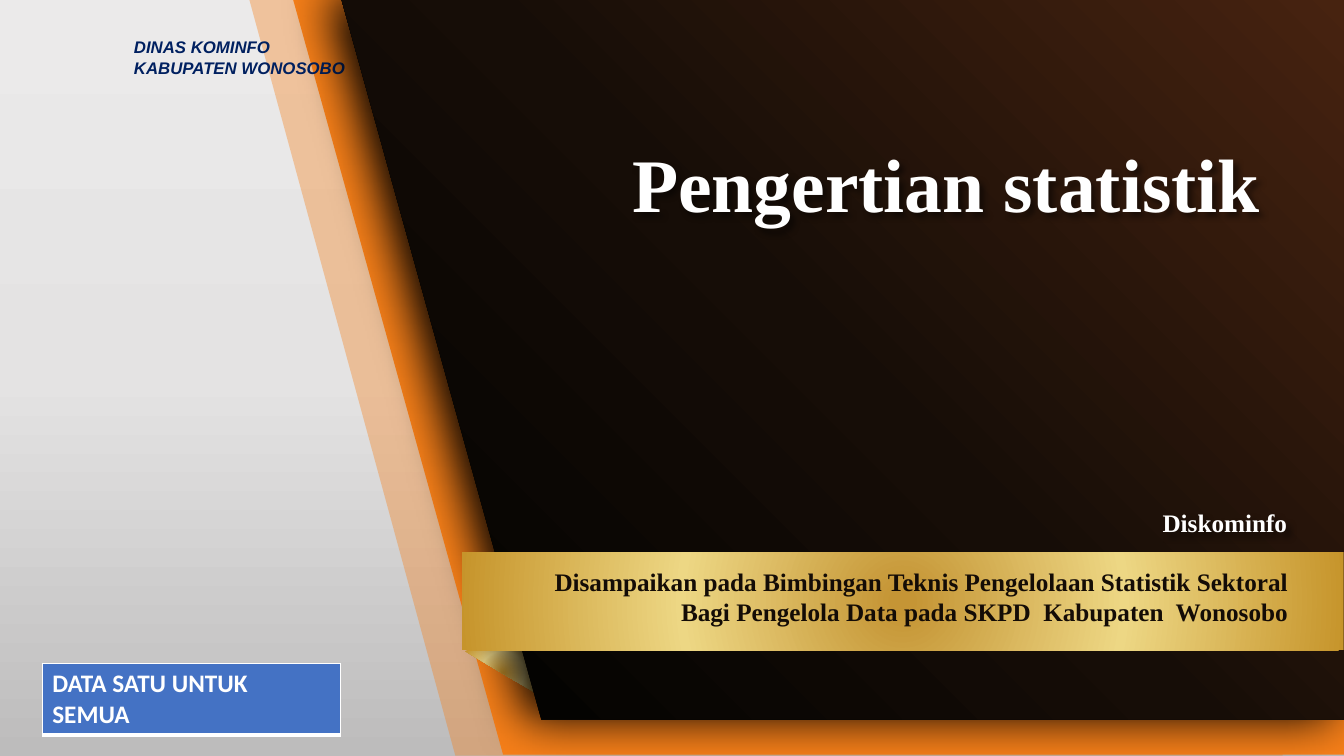
from dataclasses import dataclass

from lxml.etree import SubElement
from pptx import Presentation
from pptx.dml.color import RGBColor
from pptx.enum.shapes import MSO_SHAPE
from pptx.enum.text import MSO_ANCHOR, MSO_AUTO_SIZE, PP_ALIGN
from pptx.oxml.ns import qn
from pptx.util import Pt


@dataclass(frozen=True)
class Theme:
    orange: str = "F67F19"
    navy: str = "002060"
    white: str = "FFFFFF"
    ink: str = "140C06"
    blue: str = "4472C4"
    black: str = "000000"
    backdrop: tuple = ((0, "EBEAEA"), (50, "E4E3E3"), (100, "BDBCBC"))
    dark: tuple = ((2, "000100"), (50, "160D07"), (100, "472310"))
    fold: tuple = ((2, "C9942C"), (50, "EDD688"), (100, "C6942B"))
    gold: tuple = ((2, "C59535"), (50, "EDD784"), (100, "C6942B"))
    serif: str = "Times New Roman"
    sans: str = "Arial"
    label: str = "Calibri"
    title_size: int = 54
    body_size: int = 18
    small_size: int = 12


THEME = Theme()
PAGE_SIZE = (960, 540)

TITLE = "Pengertian statistik "
EVENT = ("Disampaikan pada Bimbingan Teknis Pengelolaan Statistik Sektoral "
         "Bagi Pengelola Data pada SKPD  Kabupaten  Wonosobo")
SPEAKER = "Diskominfo"
OFFICE = ["DINAS KOMINFO ", "KABUPATEN WONOSOBO "]
MOTTO = "DATA SATU UNTUK SEMUA"

LIGHT_PANEL = (177.5, -2.5, 738.7, 542.2)
ORANGE_PANEL = (209.2, -1, 751, 540)
DARK_PANEL = (243.4, -2.2, 716.4, 516.2)
RIBBON = (329.8, 394.6, 630, 70)
FOLD = [(376.6, 465), (386, 497), (332, 465)]
TITLE_AREA = (257.8, 94.3, 663, 72.7)
EVENT_AREA = (365.8, 401, 561.6, 51)
SPEAKER_AREA = (263.5, 358.6, 663, 29)
OFFICE_AREA = (88.6, 23, 170, 36)
MOTTO_AREA = (30.2, 473.8, 213, 40.3)
BORDERS = (("a:lnL", 1), ("a:lnR", 1), ("a:lnT", 1), ("a:lnB", 3))


def points(values):
    return [Pt(value) for value in values]


def add_color(parent, color, alpha=100):
    node = SubElement(parent, qn("a:srgbClr"), val=color)
    if alpha < 100:
        SubElement(node, qn("a:alpha"), val=str(alpha * 1000))


def paint_gradient(owner, fill, stops, angle=None):
    fill.gradient()
    gradient = next(owner.element.iter(qn("a:gradFill")))
    for child in list(gradient):
        gradient.remove(child)
    stop_list = SubElement(gradient, qn("a:gsLst"))
    for position, color in stops:
        add_color(SubElement(stop_list, qn("a:gs"), pos=str(position * 1000)), color)
    if angle is None:
        radial = SubElement(gradient, qn("a:path"), path="circle")
        SubElement(radial, qn("a:fillToRect"), l="50000", t="50000", r="50000", b="50000")
    else:
        SubElement(gradient, qn("a:lin"), ang=str(angle * 60000), scaled="0")


def cast_shadow(shape, blur, distance, angle, alpha=100):
    shape.shadow.inherit = False
    effects = next(shape.element.iter(qn("a:effectLst")))
    shadow = SubElement(effects, qn("a:outerShdw"), blurRad=str(Pt(blur)), dist=str(Pt(distance)),
                        dir=str(angle * 60000), algn="ctr", rotWithShape="0")
    add_color(shadow, THEME.black, alpha)


def clean(shape):
    shape.shadow.inherit = False
    shape.line.fill.background()
    return shape


def paint_solid(fill, color):
    fill.solid()
    fill.fore_color.rgb = RGBColor.from_string(color)


def add_panel(page, area):
    left, top, width, height = area
    panel = page.shapes.add_shape(
        MSO_SHAPE.FLOWCHART_MANUAL_INPUT,
        *points((left + (width - height) / 2, top + (height - width) / 2, height, width)))
    panel.rotation = 270
    return clean(panel)


def write(frame, lines, font, size, color, align=PP_ALIGN.LEFT, italic=False):
    for index, line in enumerate(lines):
        para = frame.paragraphs[0] if index == 0 else frame.add_paragraph()
        para.alignment = align
        para.space_before = Pt(0)
        span = para.add_run()
        span.text = line
        span.font.name = font
        span.font.size = Pt(size)
        span.font.bold = True
        span.font.italic = italic
        span.font.color.rgb = RGBColor.from_string(color)


def place_text(box, area, lines, size, color, font=THEME.serif,
               align=PP_ALIGN.RIGHT, wrap=True, italic=False):
    box.left, box.top, box.width, box.height = points(area)
    frame = box.text_frame
    frame.word_wrap = wrap
    frame.auto_size = MSO_AUTO_SIZE.NONE
    frame.vertical_anchor = MSO_ANCHOR.TOP
    write(frame, lines, font, size, color, align, italic)
    tree = box.element.getparent()
    tree.append(box.element)


deck = Presentation()
deck.slide_width, deck.slide_height = points(PAGE_SIZE)
page = deck.slides.add_slide(deck.slide_layouts[0])
paint_gradient(page, page.background.fill, THEME.backdrop, 90)

light_panel = add_panel(page, LIGHT_PANEL)
paint_solid(light_panel.fill, THEME.orange)
add_color_node = next(light_panel.element.iter(qn("a:srgbClr")))
SubElement(add_color_node, qn("a:alpha"), val="37000")
paint_solid(add_panel(page, ORANGE_PANEL).fill, THEME.orange)

office = page.shapes.add_textbox(*points(OFFICE_AREA))
place_text(office, OFFICE_AREA, OFFICE, THEME.small_size, THEME.navy,
           THEME.sans, PP_ALIGN.LEFT, False, True)

corners = [tuple(points(corner)) for corner in FOLD]
outline = page.shapes.build_freeform(*corners[0])
outline.add_line_segments(corners[1:], close=True)
fold = clean(outline.convert_to_shape())
paint_gradient(fold, fold.fill, THEME.fold)

dark_panel = add_panel(page, DARK_PANEL)
paint_gradient(dark_panel, dark_panel.fill, THEME.dark, 45)
cast_shadow(dark_panel, 34, 10, 180)

title = page.shapes.title
place_text(title, TITLE_AREA, [TITLE], THEME.title_size, THEME.white)
cast_shadow(title, 4, 3, 45, 43)

ribbon = clean(page.shapes.add_shape(MSO_SHAPE.RECTANGLE, *points(RIBBON)))
paint_gradient(ribbon, ribbon.fill, THEME.gold)

place_text(page.placeholders[1], EVENT_AREA, [EVENT], THEME.body_size, THEME.ink)

speaker = page.shapes.add_textbox(*points(SPEAKER_AREA))
place_text(speaker, SPEAKER_AREA, [SPEAKER], THEME.body_size, THEME.white)
cast_shadow(speaker, 4, 3, 45, 43)

motto_table = page.shapes.add_table(1, 1, *points(MOTTO_AREA)).table
motto_table.first_row = motto_table.horz_banding = False
motto = motto_table.cell(0, 0)
write(motto.text_frame, [MOTTO], THEME.label, THEME.body_size, THEME.white)
cell_properties = motto.text_frame._txBody.getparent().get_or_add_tcPr()
for side, weight in BORDERS:
    border = SubElement(cell_properties, qn(side), w=str(Pt(weight)))
    add_color(SubElement(border, qn("a:solidFill")), THEME.white)
paint_solid(motto.fill, THEME.blue)

deck.save("out.pptx")
